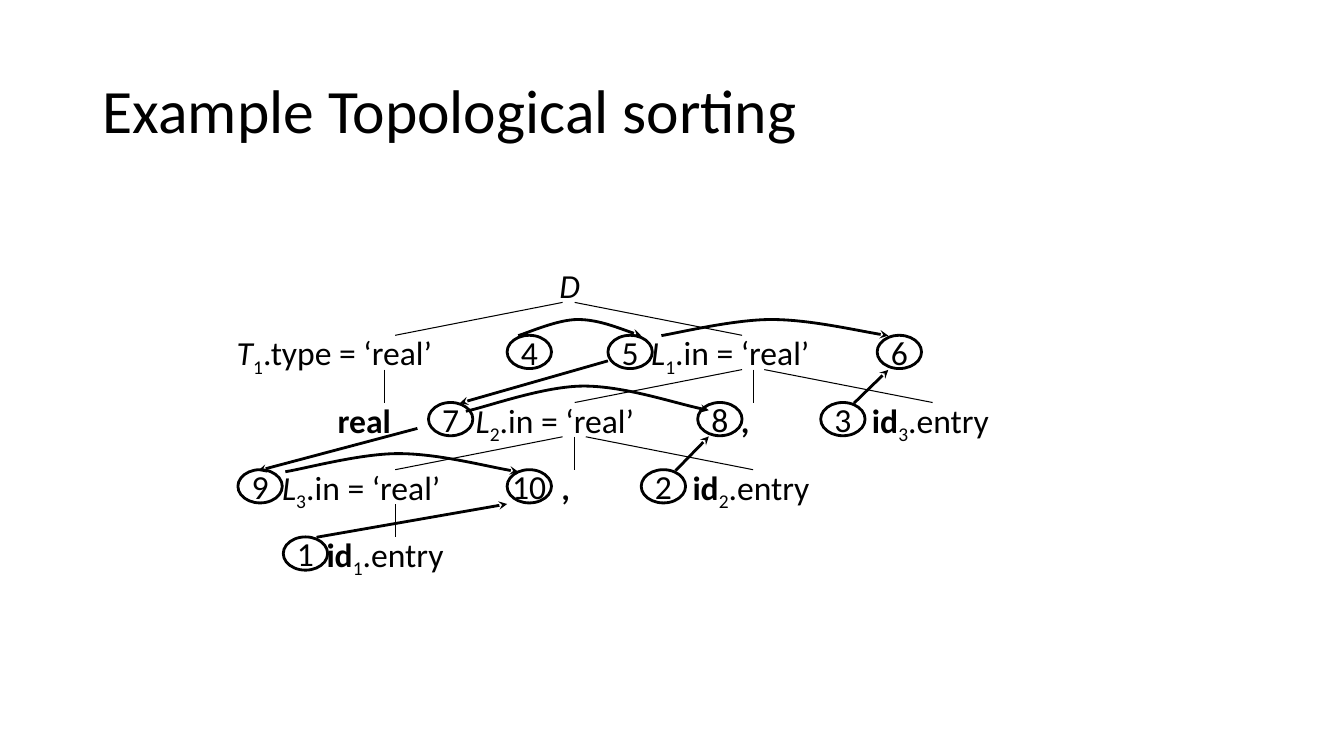
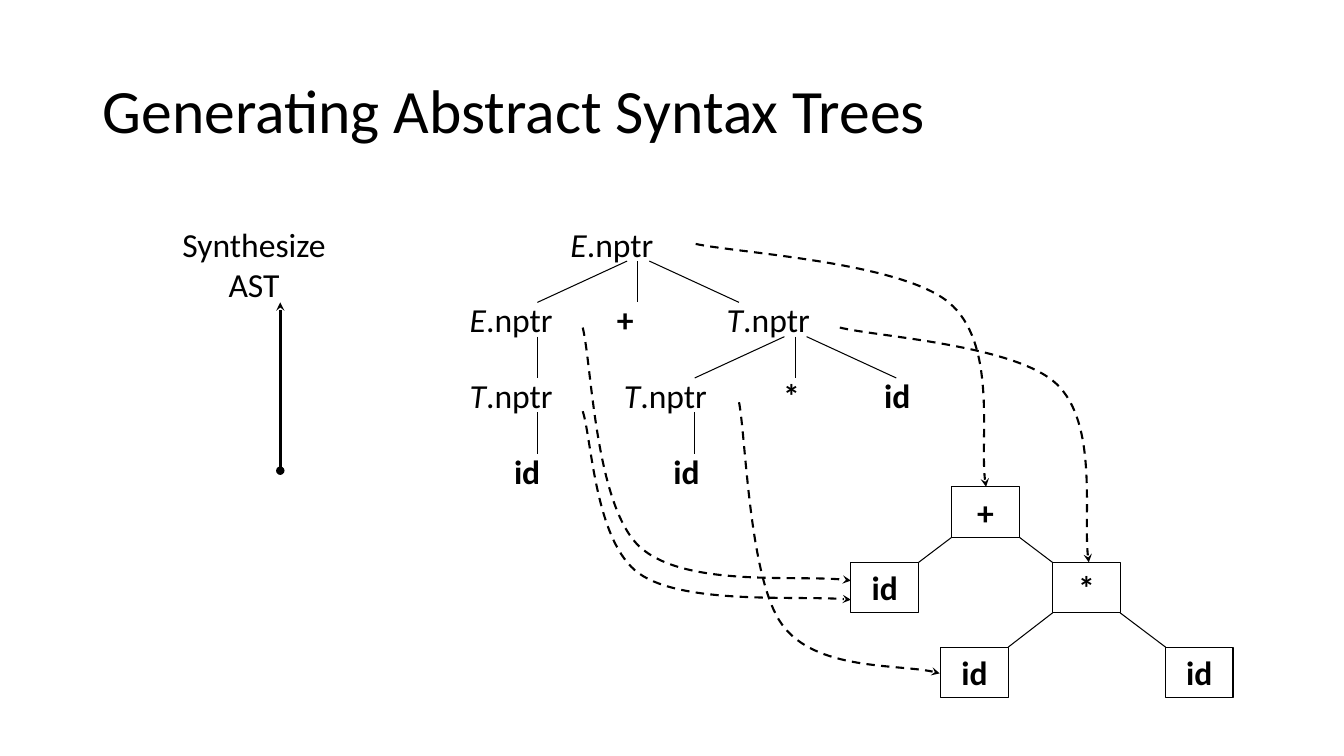
from lxml import etree
from pptx import Presentation
from pptx import util as u
from pptx.dml.color import RGBColor
from pptx.enum import dml, shapes, text
from pptx.oxml import ns

Inches = u.Inches
FONT, INK = "Calibri", "000000"
THIN, CURVE, THICK = 0.75, 1.5, 2
LEFT, CENTER = text.PP_ALIGN.LEFT, text.PP_ALIGN.CENTER
TOP, MIDDLE = text.MSO_ANCHOR.TOP, text.MSO_ANCHOR.MIDDLE
STRAIGHT = shapes.MSO_CONNECTOR.STRAIGHT


def write(shape, runs, size=24, align=LEFT, anchor=TOP, wrap=False, grow=False):
    """Fill a shape with (words, style) runs; style is "", "i", "b" or "sub"."""
    frame = shape.text_frame
    frame.word_wrap = wrap
    frame.vertical_anchor = anchor
    if grow:
        frame.auto_size = text.MSO_AUTO_SIZE.SHAPE_TO_FIT_TEXT
    paragraph = frame.paragraphs[0]
    paragraph.alignment = align
    for words, style in runs:
        if words == "\n":
            paragraph.add_line_break()
            continue
        run = paragraph.add_run()
        run.text = words
        run.font.name = FONT
        run.font.size = u.Pt(size)
        run.font.color.rgb = RGBColor.from_string(INK)
        run.font.italic = style == "i"
        run.font.bold = style == "b"
        if style == "sub":
            run._r.get_or_add_rPr().set("baseline", "-25000")
    return paragraph


def stroke(shape, width, head=None, tail=None, dash=False):
    """Outline a shape or connector without shadow, with optional line ends."""
    shape.line.color.rgb = RGBColor.from_string(INK)
    shape.line.width = u.Pt(width)
    if dash:
        shape.line.dash_style = dml.MSO_LINE.DASH
    properties = shape._element.spPr
    outline = properties.find(ns.qn("a:ln"))
    for tag, kind in (("a:headEnd", head), ("a:tailEnd", tail)):
        if kind:
            etree.SubElement(outline, ns.qn(tag), type=kind)
    etree.SubElement(properties, ns.qn("a:effectLst"))


real_type = (".type = ‘real’", "")
real_in = (".in = ‘real’", "")
entry = (".entry", "")
nptr = (".nptr", "")

# labels: left, row, width, runs; edges: row, x at the parent, x at the child
# curves: start, then two control points and an end for each piece
sorting = {
    "title": "Example Topological sorting",
    "first_row": 2.58,
    "pitch": 2 / 3,
    "labels": [
        (5.45, 0, 0.41, [("D", "i")]),
        (2.25, 1, 2.17, [("T", "i"), ("1", "sub"), real_type]),
        (6.36, 1, 1.8, [("L", "i"), ("1", "sub"), real_in]),
        (3.25, 2, 0.74, [("real", "b")]),
        (4.62, 2, 1.8, [("L", "i"), ("2", "sub"), real_in]),
        (7.25, 2, 0.29, [(",", "b")]),
        (8.55, 2, 1.39, [("id", "b"), ("3", "sub"), entry]),
        (2.7, 3, 1.8, [("L", "i"), ("3", "sub"), real_in]),
        (5.47, 3, 0.29, [(",", "b")]),
        (6.77, 3, 1.39, [("id", "b"), ("2", "sub"), entry]),
        (3.14, 4, 1.39, [("id", "b"), ("1", "sub"), entry]),
    ],
    "edges": [
        (0, 5.58, 3.92), (0, 5.7, 7.36),
        (1, 3.81, 3.81), (1, 7.36, 5.7), (1, 7.47, 7.47), (1, 7.58, 9.25),
        (2, 5.58, 3.92), (2, 5.7, 5.7), (2, 5.81, 7.47),
        (3, 3.92, 3.92),
    ],
    "curve_style": {"width": THICK},
    "curves": [
        [(5.14, 3.33), (5.24, 3.3), (5.53, 3.17), (5.73, 3.17),
         (5.94, 3.17), (6.22, 3.29), (6.36, 3.33)],
        [(2.83, 4.68), (3.02, 4.65), (3.57, 4.5), (3.95, 4.5),
         (4.34, 4.5), (4.87, 4.64), (5.14, 4.68)],
        [(4.62, 4.08), (4.82, 4.04), (5.39, 3.83), (5.79, 3.83),
         (6.19, 3.83), (6.75, 4.02), (7.03, 4.07)],
        [(6.56, 3.33), (6.74, 3.3), (7.28, 3.17), (7.65, 3.17),
         (8.02, 3.17), (8.54, 3.29), (8.81, 3.33)],
    ],
    "arrows": [
        (6.03, 3.58, 4.56, 4), (4.14, 4.25, 2.56, 4.67),
        (8.47, 4, 8.81, 3.67), (6.7, 4.67, 7.03, 4.33),
        (3.14, 5.33, 5.03, 5),
    ],
    "arrow_start": None,
}
syntax_trees = {
    "title": "Generating Abstract Syntax Trees",
    "first_row": 2.17,
    "pitch": 0.75,
    "labels": [
        (1.7, 0, 1.64, [("Synthesize", ""), ("\n", ""), ("AST", "")]),
        (5.56, 0, 1.03, [("E", "i"), nptr]),
        (4.56, 1, 1.03, [("E", "i"), nptr]),
        (6.02, 1, 0.37, [("+", "b")]),
        (7.11, 1, 1.03, [("T", "i"), nptr]),
        (4.56, 2, 1.03, [("T", "i"), nptr]),
        (6.09, 2, 1.03, [("T", "i"), nptr]),
        (7.67, 2, 0.37, [("*", "b")]),
        (8.67, 2, 0.46, [("id", "b")]),
        (5, 3, 0.46, [("id", "b")]),
        (6.58, 3, 0.46, [("id", "b")]),
    ],
    "edges": [
        (0, 6.22, 5.33), (0, 6.32, 6.32), (0, 6.44, 7.33),
        (1, 5.33, 5.33), (1, 7.78, 6.89), (1, 7.89, 7.89), (1, 8, 8.89),
        (2, 5.33, 5.33), (2, 6.89, 6.89),
    ],
    "curve_style": {"width": CURVE, "dash": True},
    "curves": [
        [(6.9, 2.42), (7.32, 2.51), (8.93, 2.6), (9.41, 3),
         (9.89, 3.4), (9.7, 4.45), (9.78, 4.83)],
        [(7.33, 3.99), (7.4, 4.36), (7.43, 5.76), (7.76, 6.2),
         (8.09, 6.65), (9, 6.58), (9.32, 6.68)],
        [(5.78, 4.08), (5.87, 4.35), (5.9, 5.38), (6.34, 5.69),
         (6.78, 6), (8.01, 5.9), (8.44, 5.95)],
        [(5.78, 3.25), (5.87, 3.61), (5.9, 5), (6.34, 5.42),
         (6.78, 5.83), (8.01, 5.69), (8.44, 5.76)],
        [(8.33, 3.25), (8.69, 3.34), (10.07, 3.42), (10.48, 3.81),
         (10.89, 4.2), (10.73, 5.21), (10.8, 5.58)],
    ],
    "arrows": [(2.78, 4.67, 2.78, 3)],
    "arrow_start": "oval",
}

presentation = Presentation()
presentation.slide_width, presentation.slide_height = Inches(13.33), Inches(7.5)

# Titles, parse trees and dependency arrows
for content in (sorting, syntax_trees):
    slide = presentation.slides.add_slide(presentation.slide_layouts[6])
    title = slide.shapes.add_textbox(Inches(0.92), Inches(0.4), Inches(11.5), Inches(1.45))
    write(title, [(content["title"], "")], 44, anchor=MIDDLE, wrap=True).line_spacing = 0.9

    first_row, pitch = content["first_row"], content["pitch"]
    for left, row, width, runs in content["labels"]:
        two_lines = ("\n", "") in runs
        label = slide.shapes.add_textbox(
            Inches(left), Inches(first_row + row * pitch),
            Inches(width), Inches(0.91 if two_lines else 0.5))
        write(label, runs, align=CENTER if two_lines else LEFT, grow=True)

    for row, parent_x, child_x in content["edges"]:
        row_top = first_row + row * pitch
        edge = slide.shapes.add_connector(
            STRAIGHT, Inches(parent_x), Inches(row_top + 0.42),
            Inches(child_x), Inches(row_top + pitch + 0.08))
        stroke(edge, THIN)

    for ends in content["arrows"]:
        arrow = slide.shapes.add_connector(STRAIGHT, *map(Inches, ends))
        stroke(arrow, THICK, head=content["arrow_start"], tail="stealth")

    for points in content["curves"]:
        start, *others = [(Inches(x), Inches(y)) for x, y in points]
        builder = slide.shapes.build_freeform(*start)
        builder.add_line_segments(others, close=False)
        curve = builder.convert_to_shape()
        curve.fill.background()
        stroke(curve, tail="stealth", **content["curve_style"])
        # Every three straight segments become one Bézier piece
        segments = list(curve._element.iter(ns.qn("a:lnTo")))
        outline = segments[0].getparent()
        for first in range(0, len(segments), 3):
            bezier = etree.SubElement(outline, ns.qn("a:cubicBezTo"))
            for segment in segments[first:first + 3]:
                bezier.append(segment[0])
                outline.remove(segment)

# Numbered evaluation order on the first slide: number, left, row
for number, left, row in [
    (1, 2.81, 4), (2, 6.36, 3), (3, 8.14, 2), (4, 5.03, 1), (5, 6.03, 1),
    (6, 8.7, 1), (7, 4.25, 2), (8, 6.92, 2), (9, 2.36, 3), (10, 5.03, 3),
]:
    circle_top = sorting["first_row"] + row * sorting["pitch"] + 0.08
    circle = presentation.slides[0].shapes.add_shape(
        shapes.MSO_SHAPE.OVAL, Inches(left), Inches(circle_top), Inches(0.44), Inches(0.33))
    circle.fill.background()
    stroke(circle, THICK)
    write(circle, [(str(number), "")], align=CENTER, anchor=MIDDLE)

# Abstract syntax tree on the second slide: words, left, top, index of the parent
slide = presentation.slides[1]
nodes = []
for words, left, top, parent in [
    ("+", 9.44, 4.83, None), ("id", 8.44, 5.58, 0), ("*", 10.44, 5.58, 0),
    ("id", 9.33, 6.42, 2), ("id", 11.56, 6.42, 2),
]:
    node = slide.shapes.add_shape(
        shapes.MSO_SHAPE.RECTANGLE, Inches(left), Inches(top), Inches(0.67), Inches(0.5))
    node.fill.background()
    stroke(node, THIN)
    write(node, [(words, "b")], align=CENTER, wrap=True, grow=True)
    nodes.append(node)
    if parent is not None:
        above = nodes[parent]
        if node.left < above.left:
            start_x, end_x = above.left, node.left + node.width
        else:
            start_x, end_x = above.left + above.width, node.left
        branch = slide.shapes.add_connector(
            STRAIGHT, start_x, above.top + above.height, end_x, node.top)
        stroke(branch, THIN)

presentation.save("out.pptx")
